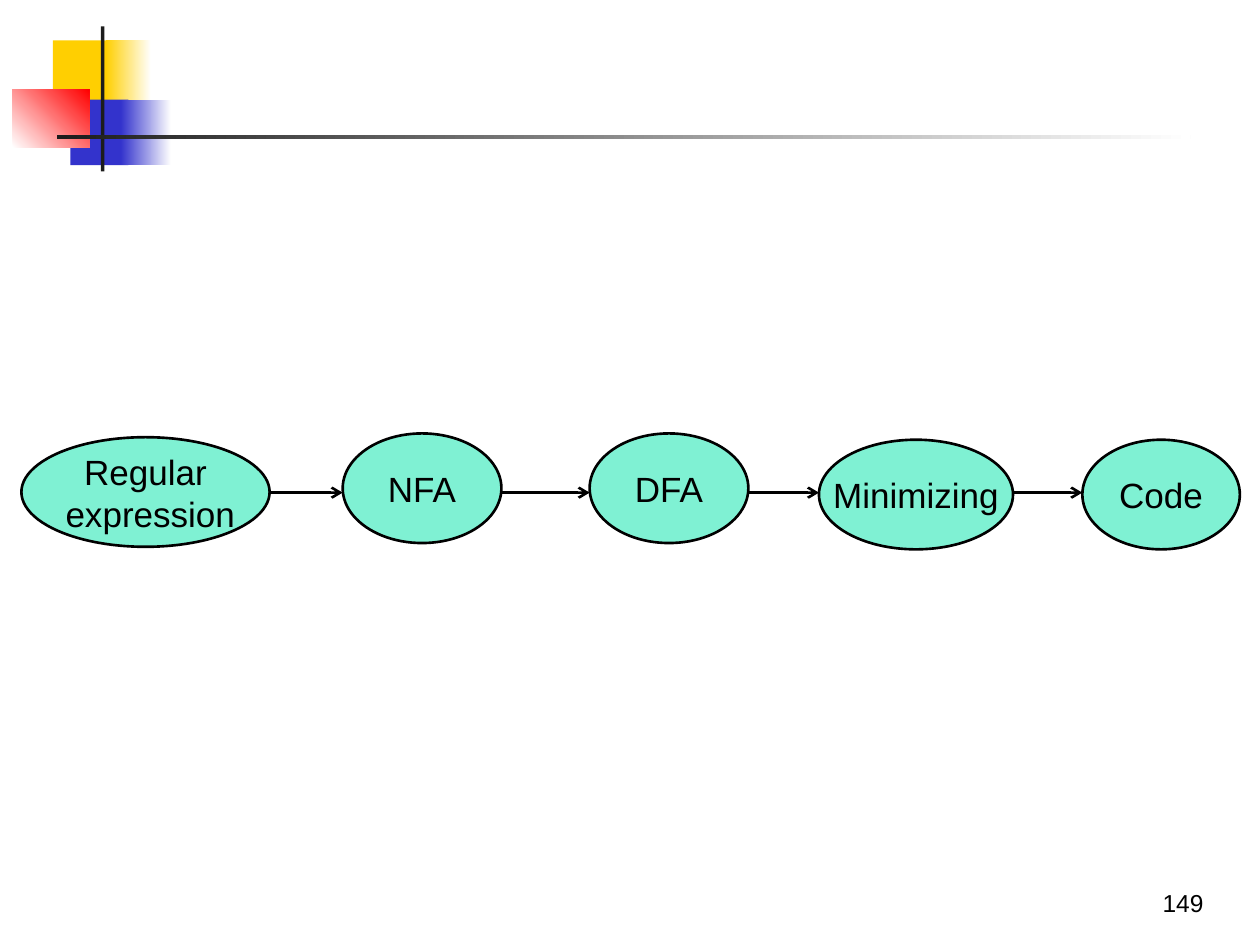
from lxml.etree import SubElement
from pptx import Presentation
from pptx.dml.color import RGBColor
from pptx.enum.shapes import MSO_CONNECTOR, MSO_SHAPE
from pptx.enum.text import MSO_ANCHOR as ANCHOR, PP_ALIGN as ALIGN
from pptx.oxml.ns import qn
from pptx.util import Inches, Pt

COLORS = {
    "black": "000000",
    "white": "FFFFFF",
    "yellow": "FFCF01",
    "blue": "3333CC",
    "red": "FF0000",
    "bar": "1C1C1C",
    "mint": "00E4A8",
}
FONT = "Arial"


def rgb(color):
    return RGBColor.from_string(COLORS[color])


def write_text(frame, text, size=20, color="black", align=ALIGN.CENTER,
               anchor=ANCHOR.MIDDLE, wrap=False):
    frame.word_wrap = wrap
    frame.vertical_anchor = anchor
    for index, line in enumerate(text.split("\n")):
        paragraph = frame.paragraphs[0] if index == 0 else frame.add_paragraph()
        paragraph.alignment = align
        run = paragraph.add_run()
        run.text = line
        run.font.name = FONT
        run.font.size = Pt(size)
        run.font.color.rgb = rgb(color)


def add_block(slide, left, top, width, height, start, end=None, angle=0):
    block = slide.shapes.add_shape(
        MSO_SHAPE.RECTANGLE, Inches(left), Inches(top), Inches(width), Inches(height))
    block.shadow.inherit = False
    block.line.fill.background()
    if end is None:
        block.fill.solid()
        block.fill.fore_color.rgb = rgb(start)
    else:
        block.fill.gradient()
        block.fill.gradient_angle = angle
        for stop, color in zip(block.fill.gradient_stops, (start, end)):
            stop.color.rgb = rgb(color)


def add_ornament(slide, left, top):
    blocks = [
        (0.32, 0.11, 0.48, 0.52, "yellow"),
        (0.74, 0.11, 0.36, 0.52, "yellow", "white"),
        (0.46, 0.58, 0.46, 0.52, "blue"),
        (0.86, 0.58, 0.4, 0.52, "blue", "white"),
        (0, 0.5, 0.61, 0.46, "white", "red", 45),
        (0.7, 0, 0.03, 1.15, "bar"),
        (0.35, 0.86, 9, 0.03, "bar", "white"),
    ]
    for x, y, *look in blocks:
        add_block(slide, left + x, top + y, *look)


def add_stage(slide, left, top, width, height, label):
    stage = slide.shapes.add_shape(
        MSO_SHAPE.OVAL, Inches(left), Inches(top), Inches(width), Inches(height))
    stage.shadow.inherit = False
    stage.fill.solid()
    stage.fill.fore_color.rgb = rgb("mint")
    mint = stage.fill._xPr.find(qn("a:solidFill"))[0]
    SubElement(mint, qn("a:alpha"), val="50000")
    stage.line.color.rgb = rgb("black")
    stage.line.width = Pt(1.5)
    write_text(stage.text_frame, label)


def add_arrow(slide, start, end, y):
    arrow = slide.shapes.add_connector(
        MSO_CONNECTOR.STRAIGHT, Inches(start), Inches(y), Inches(end), Inches(y))
    arrow.line.color.rgb = rgb("black")
    arrow.line.width = Pt(1.5)
    SubElement(arrow.line._get_or_add_ln(), qn("a:tailEnd"), type="arrow")
    SubElement(arrow._element.spPr, qn("a:effectLst"))


def add_pipeline(slide, left, top, stage_height):
    stages = [
        ("Regular\n expression", 0, 0.03, 1.97),
        ("NFA", 2.55, 0, 1.26),
        ("DFA", 4.51, 0, 1.26),
        ("Minimizing", 6.33, 0.05, 1.54),
        ("Code", 8.42, 0.05, 1.25),
    ]
    for label, x, y, width in stages:
        add_stage(slide, left + x, top + y, width, stage_height, label)
    for (_, x, _, width), (_, next_x, _, _) in zip(stages, stages[1:]):
        add_arrow(slide, left + x + width, left + next_x, top + 0.47)


def add_page_number(slide, left, top, width, height, number):
    page_number = slide.shapes.add_textbox(
        Inches(left), Inches(top), Inches(width), Inches(height))
    write_text(page_number.text_frame, number, size=14, align=ALIGN.RIGHT,
               anchor=ANCHOR.BOTTOM, wrap=True)


def main():
    deck = Presentation()
    deck.slide_width, deck.slide_height = Inches(10), Inches(7.5)
    slide = deck.slides.add_slide(deck.slide_layouts[6])
    add_ornament(slide, 0.1, 0.21)
    add_page_number(slide, 7.57, 6.83, 2.08, 0.5, "149")
    add_pipeline(slide, 0.17, 3.44, 0.87)
    deck.save("out.pptx")


if __name__ == "__main__":
    main()
